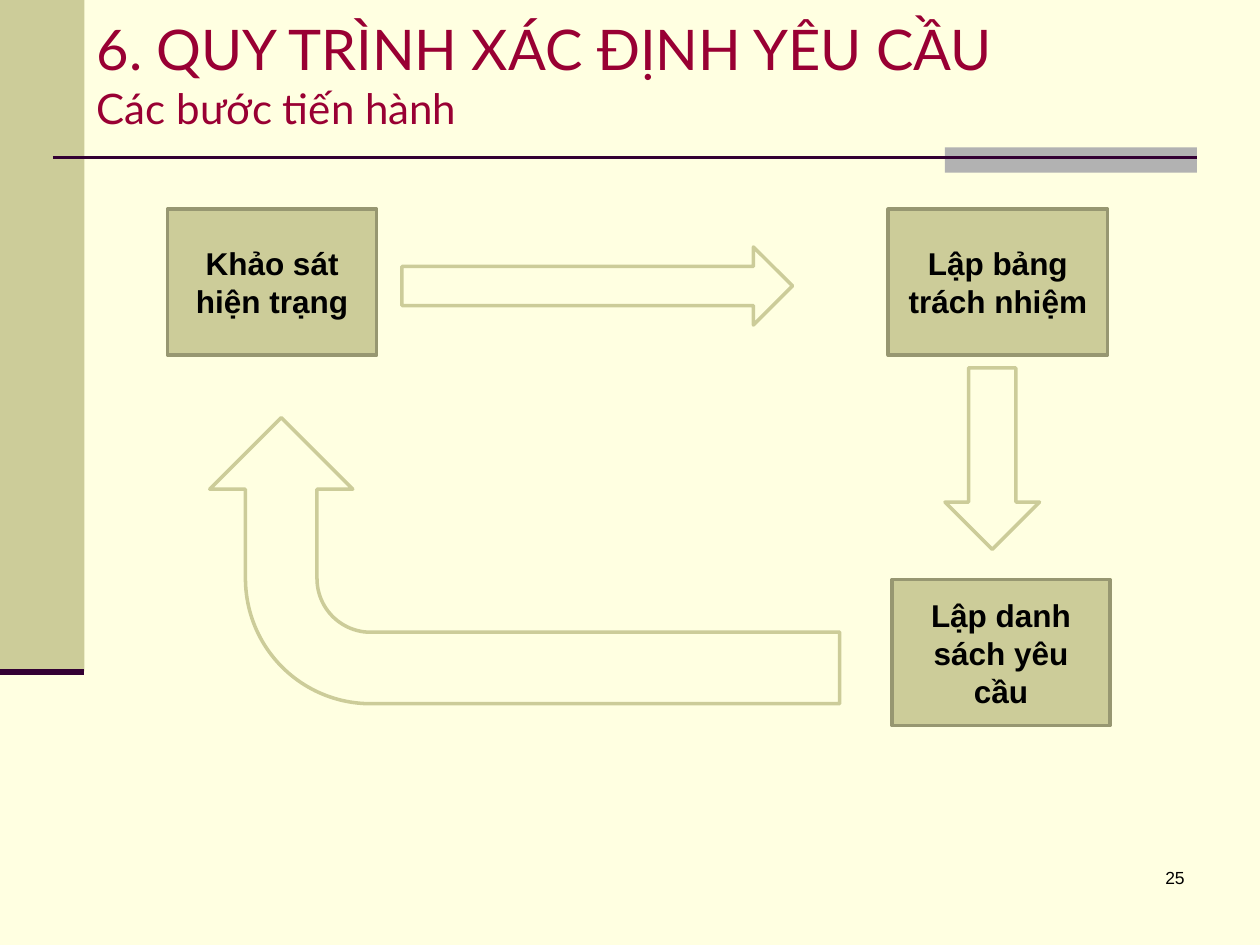
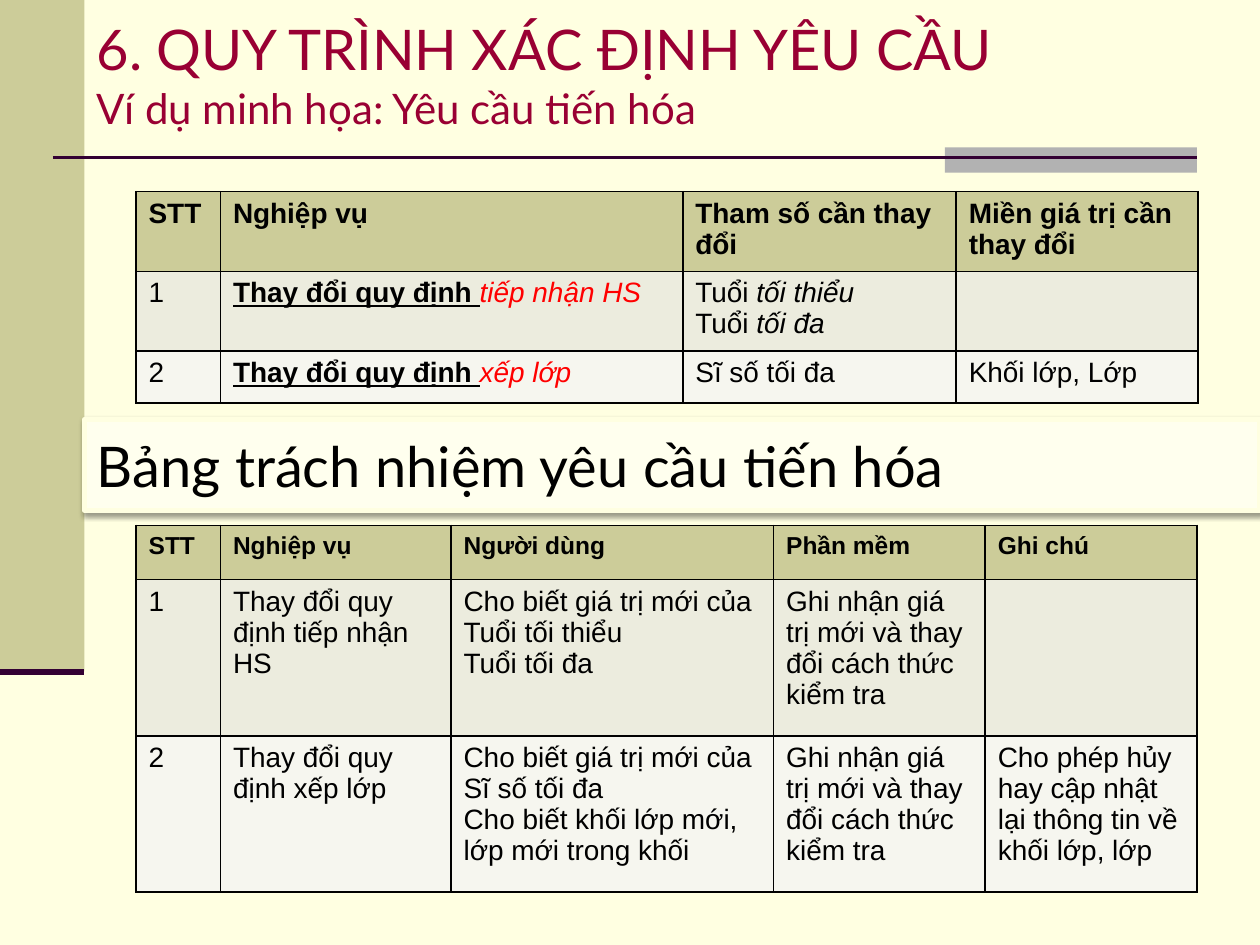
from lxml.etree import SubElement
from pptx import Presentation
from pptx.dml.color import RGBColor
from pptx.enum.shapes import MSO_CONNECTOR as CONNECTOR, MSO_SHAPE as SHAPE
from pptx.enum.text import MSO_ANCHOR as ANCHOR, PP_ALIGN as ALIGN
from pptx.oxml import parse_xml
from pptx.oxml.ns import nsdecls, qn
from pptx.util import Inches, Pt

COLORS = {
    "background": "FFFFE1", "khaki": "CCCC99", "gray": "B2B2B2", "plum": "330033",
    "title": "990033", "outline": "979771", "text": "000000", "accent": "FF0000",
    "caption": "FFFFEE", "odd_row": "ECECDE", "even_row": "F6F6EF",
}
BODY_FONT, TITLE_FONT = "Arial", "Lato"
HEADING = "6. QUY TRÌNH XÁC ĐỊNH YÊU CẦU"

STEPS = [
    ("Khảo sát hiện trạng", (1.33, 1.66, 1.66, 1.16)),
    ("Lập bảng trách nhiệm", (7.05, 1.66, 1.74, 1.16)),
    ("Lập danh sách yêu cầu", (7.08, 4.6, 1.73, 1.16)),
]
ARROWS = [
    (SHAPE.RIGHT_ARROW, (3.19, 1.96, 3.1, 0.62), 0),
    (SHAPE.BENT_ARROW, (3.03, 1.95, 2.27, 5), 270),
    (SHAPE.DOWN_ARROW, (7.5, 2.92, 0.75, 1.44), 0),
]

PLAIN = {}
ITALIC = {"italic": True}
RULE = ("Thay đổi quy định ", {"bold": True, "underline": True})
TARGET = {"italic": True, "color": "accent"}
CHECK = "Ghi nhận giá trị mới và thay đổi cách thức kiểm tra"

CHANGES = {
    "place": (1.08, 1.52),
    "columns": [0.67, 3.67, 2.17, 1.92],
    "rows": [0.6, 0.6, 0.41],
    "header_size": 16,
    "cells": [
        ["STT", "Nghiệp vụ", "Tham số cần thay đổi", "Miền giá trị cần thay đổi"],
        ["1", [[RULE, ("tiếp nhận HS", TARGET)]],
         [[("Tuổi ", PLAIN), ("tối thiểu", ITALIC)], [("Tuổi ", PLAIN), ("tối đa", ITALIC)]], ""],
        ["2", [[RULE, ("xếp lớp", TARGET)]], "Sĩ số tối đa", "Khối lớp, Lớp"],
    ],
}
DUTIES = {
    "place": (1.08, 4.17),
    "columns": [0.67, 1.83, 2.56, 1.68, 1.68],
    "rows": [0.43, 1.24, 1.24],
    "header_size": 14,
    "cells": [
        ["STT", "Nghiệp vụ", "Người dùng", "Phần mềm", "Ghi chú"],
        ["1", "Thay đổi quy định tiếp nhận HS",
         "Cho biết giá trị mới của Tuổi tối thiểu\nTuổi tối đa", CHECK, ""],
        ["2", "Thay đổi quy định xếp lớp",
         "Cho biết giá trị mới của Sĩ số tối đa\nCho biết khối lớp mới, lớp mới trong khối",
         CHECK, "Cho phép hủy hay cập nhật lại thông tin về khối lớp, lớp"],
    ],
}


def rgb(name):
    return RGBColor.from_string(COLORS[name])


def style(font, size, color="text", name=BODY_FONT, bold=False, italic=False, underline=False):
    font.name, font.size, font.color.rgb = name, Pt(size), rgb(color)
    font.bold, font.italic, font.underline = bold, italic, underline


def add_shape(slide, kind, box, fill, line=None, width=2):
    shape = slide.shapes.add_shape(kind, *map(Inches, box))
    shape.shadow.inherit = False
    shape.fill.solid()
    shape.fill.fore_color.rgb = rgb(fill)
    if line:
        shape.line.color.rgb = rgb(line)
        shape.line.width = Pt(width)
    else:
        shape.line.fill.background()
    return shape


def add_line(slide, start, end, width):
    line = slide.shapes.add_connector(CONNECTOR.STRAIGHT, *map(Inches, start + end))
    line.line.color.rgb = rgb("plum")
    line.line.width = Pt(width)
    SubElement(line._element.spPr, qn("a:effectLst"))


def set_text(shape, text, align=ALIGN.LEFT, anchor=ANCHOR.MIDDLE, **font):
    frame = shape.text_frame
    frame.word_wrap = True
    frame.vertical_anchor = anchor
    frame.text = text
    frame.paragraphs[0].alignment = align
    for run in frame.paragraphs[0].runs:
        style(run.font, **font)
    return frame.paragraphs[0].runs


def add_slide(presentation, subtitle):
    slide = presentation.slides.add_slide(presentation.slide_layouts[6])
    slide.background.fill.solid()
    slide.background.fill.fore_color.rgb = rgb("background")
    add_shape(slide, SHAPE.RECTANGLE, (0, 0, 0.67, 5.33), "khaki")
    add_shape(slide, SHAPE.RECTANGLE, (7.5, 1.17, 2, 0.2), "gray")
    add_line(slide, (0.42, 1.25), (9.5, 1.25), 1.5)
    add_line(slide, (0, 5.33), (0.67, 5.33), 3.5)
    title = slide.shapes.add_textbox(*map(Inches, (0.67, 0, 9.33, 1.17)))
    runs = set_text(title, f"{HEADING}\v{subtitle}", size=32, color="title", name=TITLE_FONT)
    runs[-1].font.size = Pt(24)
    return slide


def add_borders(cell):
    properties = cell._tc.get_or_add_tcPr()
    for side in ("lnL", "lnR", "lnT", "lnB"):
        properties.append(parse_xml(
            f'<a:{side} {nsdecls("a")} w="{Pt(1)}"><a:solidFill>'
            f'<a:srgbClr val="{COLORS["text"]}"/></a:solidFill></a:{side}>'))


def fill_cell(cell, content, size, bold, fill):
    add_borders(cell)
    cell.fill.solid()
    cell.fill.fore_color.rgb = rgb(fill)
    if isinstance(content, str):
        content = [[(line, {"bold": bold})] for line in content.split("\n")]
    for index, runs in enumerate(content):
        frame = cell.text_frame
        paragraph = frame.add_paragraph() if index else frame.paragraphs[0]
        style(paragraph.font, size)
        for text, look in runs:
            if text:
                run = paragraph.add_run()
                run.text = text
                style(run.font, size, **look)


def add_table(slide, data):
    columns, rows = data["columns"], data["rows"]
    box = (*data["place"], sum(columns), sum(rows))
    table = slide.shapes.add_table(len(rows), len(columns), *map(Inches, box)).table
    for column, width in zip(table.columns, columns):
        column.width = Inches(width)
    fills = ("khaki", "odd_row", "even_row")
    for index, (row, height, contents) in enumerate(zip(table.rows, rows, data["cells"])):
        row.height = Inches(height)
        header = index == 0
        for cell, content in zip(row.cells, contents):
            fill_cell(cell, content, data["header_size"] if header else 16, header, fills[index])


def add_caption(slide, text):
    caption = add_shape(slide, SHAPE.RECTANGLE, (0.67, 3.33, 9.33, 0.72),
                        "caption", "background", 3)
    set_text(caption, text, size=32, name=TITLE_FONT)
    effects = caption._element.spPr.find(qn("a:effectLst"))
    effects.append(parse_xml(
        f'<a:outerShdw {nsdecls("a")} blurRad="{Pt(3.1)}" dist="{Pt(1.6)}" dir="5400000" '
        f'rotWithShape="0"><a:srgbClr val="{COLORS["text"]}"><a:alpha val="38000"/>'
        '</a:srgbClr></a:outerShdw>'))


def build_process(presentation):
    slide = add_slide(presentation, "Các bước tiến hành")
    for text, box in STEPS:
        step = add_shape(slide, SHAPE.RECTANGLE, box, "khaki", "outline")
        set_text(step, text, ALIGN.CENTER, size=18, bold=True)
    for kind, box, rotation in ARROWS:
        add_shape(slide, kind, box, "background", "khaki").rotation = rotation
    number = slide.shapes.add_textbox(*map(Inches, (7.42, 6.83, 2.08, 0.5)))
    set_text(number, "25", ALIGN.RIGHT, ANCHOR.TOP, size=10)


def build_example(presentation):
    slide = add_slide(presentation, "Ví dụ minh họa: Yêu cầu tiến hóa")
    add_table(slide, CHANGES)
    add_caption(slide, "Bảng trách nhiệm yêu cầu tiến hóa")
    add_table(slide, DUTIES)


def main():
    presentation = Presentation()
    presentation.slide_width, presentation.slide_height = Inches(10), Inches(7.5)
    build_process(presentation)
    build_example(presentation)
    presentation.save("out.pptx")


if __name__ == "__main__":
    main()
